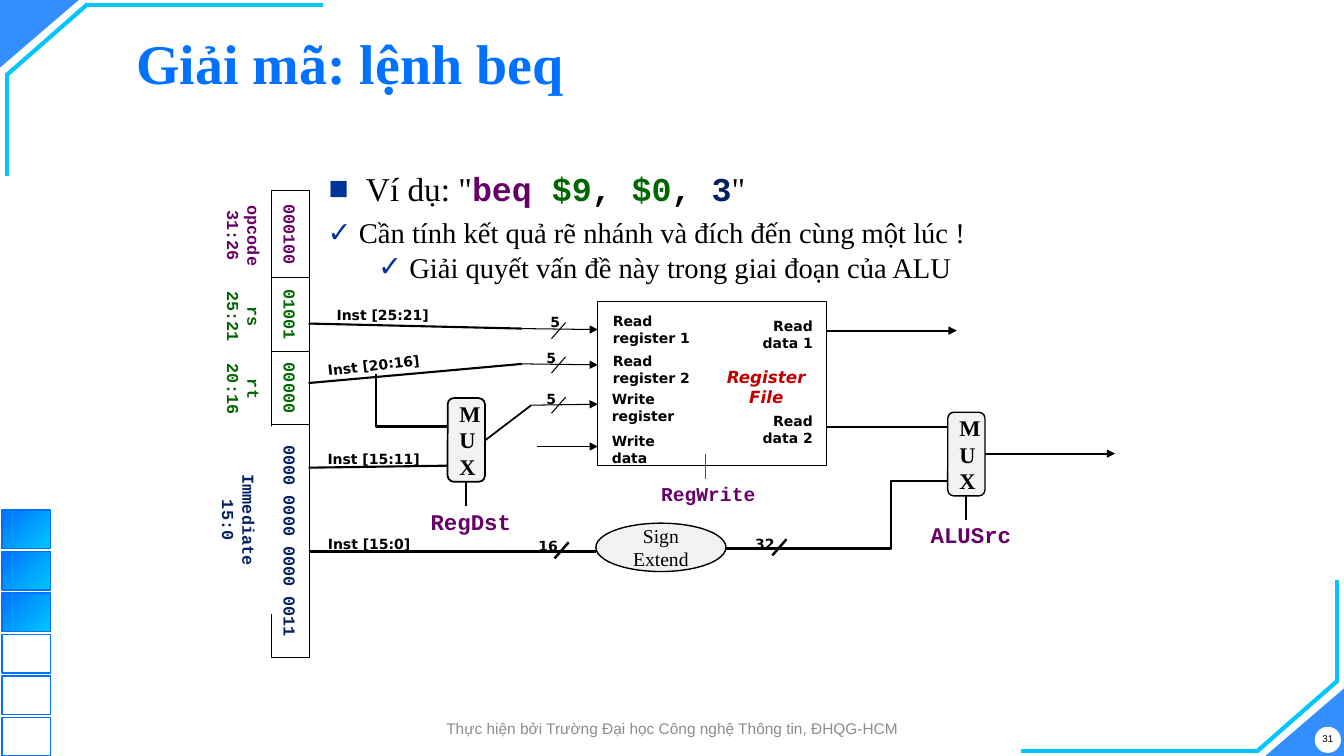
from dataclasses import dataclass
from typing import Optional

from lxml import etree
from pptx import Presentation
from pptx.dml.color import RGBColor
from pptx.enum import shapes, text
from pptx.oxml.ns import qn
from pptx.util import Inches, Pt

SHAPE, LINK, ALIGN = shapes.MSO_SHAPE, shapes.MSO_CONNECTOR, text.PP_ALIGN
MIDDLE, TOP = text.MSO_ANCHOR.MIDDLE, text.MSO_ANCHOR.TOP
WIDTH, HEIGHT = 13.33, 7.5


@dataclass(frozen=True)
class Style:
    size: float
    name: str
    color: str = "000000"
    bold: bool = True
    italic: bool = False


@dataclass(frozen=True)
class Theme:
    blue: str = "0072FF"
    cyan: str = "00C6FF"
    bullet: str = "003399"
    black: str = "000000"
    white: str = "FFFFFF"
    light: str = "F2F2F2"
    purple: str = "660066"
    green: str = "006600"
    navy: str = "002060"
    strobe: str = "3333FF"
    mono: str = "Courier New"
    title: Style = Style(40, "Times New Roman")
    example: Style = Style(23.8, "Times New Roman", bold=False)
    point: Style = Style(20.4, "Times New Roman", bold=False)
    port: Style = Style(10, "DejaVu Sans")
    unit: Style = Style(12, "DejaVu Sans", "C00000", italic=True)
    control: Style = Style(16, "Courier New", "660066")
    strobe_name: Style = Style(14, "Courier New", "660066")
    mux: Style = Style(16, "Times New Roman")
    extend: Style = Style(14, "Times New Roman", bold=False)
    footer: Style = Style(11, "Arial", "8C8C8C", bold=False)
    number: Style = Style(7, "Arial", bold=False)


@dataclass(frozen=True)
class Box:
    x: float
    y: float
    w: float
    h: float
    lines: tuple = ()
    style: Optional[Style] = None
    align: ALIGN = ALIGN.CENTER
    rot: float = 0
    kind: Optional[SHAPE] = None  # None makes a text box
    fill: Optional[str] = None
    line: Optional[str] = None
    width: float = 1
    wrap: bool = False
    anchor: text.MSO_ANCHOR = TOP


@dataclass(frozen=True)
class Wire:
    x1: float
    y1: float
    x2: float
    y2: float
    width: float = 0.75
    arrow: bool = False
    color: str = "000000"
    bend: Optional[float] = None  # where an elbow turns, as a share of its width


T = Theme()
prs = Presentation()
prs.slide_width, prs.slide_height = Inches(WIDTH), Inches(HEIGHT)
s = prs.slides.add_slide(prs.slide_layouts[1])


def put(obj, **values) -> None:
    for key, value in values.items():
        setattr(obj, key, value)


def rgb(color: str) -> RGBColor:
    return RGBColor.from_string(color)


def blend(fill) -> None:
    fill.gradient()
    fill.gradient_angle = 315
    for stop, color in zip(fill.gradient_stops, (T.blue, T.cyan)):
        stop.color.rgb = rgb(color)


def write(p, words: str, st: Style):
    r = p.add_run()
    r.text = words
    put(r.font, size=Pt(st.size), name=st.name, bold=st.bold, italic=st.italic)
    r.font.color.rgb = rgb(st.color)
    return r


def draw_box(b: Box):
    area = [Inches(v) for v in (b.x, b.y, b.w, b.h)]
    if b.kind is None:
        sp = s.shapes.add_textbox(*area)
    else:
        sp = s.shapes.add_shape(b.kind, *area)
        sp.shadow.inherit = False
    sp.rotation = b.rot
    if b.fill:
        sp.fill.solid()
        sp.fill.fore_color.rgb = rgb(b.fill)
    else:
        sp.fill.background()
    if b.line:
        sp.line.color.rgb = rgb(b.line)
        sp.line.width = Pt(b.width)
    else:
        sp.line.fill.background()
    tf = sp.text_frame
    put(tf, word_wrap=b.wrap, vertical_anchor=b.anchor)
    for i, words in enumerate(b.lines):
        p = tf.add_paragraph() if i else tf.paragraphs[0]
        p.alignment = b.align
        write(p, words, b.style)
    return sp


def draw_wire(w: Wire) -> None:
    kind = LINK.STRAIGHT if w.bend is None else LINK.ELBOW
    c = s.shapes.add_connector(kind, *(Inches(v) for v in (w.x1, w.y1, w.x2, w.y2)))
    c.line.color.rgb = rgb(w.color)
    c.line.width = Pt(w.width)
    props = c.element.spPr
    if w.bend is not None:
        guides = props.find(qn("a:prstGeom")).get_or_add_avLst()
        etree.SubElement(guides, qn("a:gd"), name="adj1", fmla=f"val {round(w.bend * 100000)}")
    if w.arrow:
        etree.SubElement(props.find(qn("a:ln")), qn("a:tailEnd"), type="triangle")
    etree.SubElement(props, qn("a:effectLst"))


def place(sp, x: float, y: float, w: float, h: float, anchor) -> None:
    put(sp, left=Inches(x), top=Inches(y), width=Inches(w), height=Inches(h))
    put(sp.text_frame, word_wrap=True, auto_size=text.MSO_AUTO_SIZE.NONE, vertical_anchor=anchor)


# Corner frames, the second one being the first turned about the slide centre
for x, y, rot in ((0, 0, 180), (WIDTH - 0.78, HEIGHT - 0.67, 0)):
    corner = draw_box(Box(x, y, 0.78, 0.67, kind=SHAPE.ISOSCELES_TRIANGLE, fill=T.blue, rot=rot))
    corner.adjustments[0] = 1
    color = corner.element.spPr.find(qn("a:solidFill"))[0]
    etree.SubElement(color, qn("a:alpha"), val="80000")
for x1, y1, x2, y2 in ((3.2, 0.05, 0.85, 0.05), (0.87, 0.04, 0.06, 0.75), (0.07, 1.75, 0.07, 0.73)):
    draw_wire(Wire(x1, y1, x2, y2, 3, color=T.cyan))
    draw_wire(Wire(WIDTH - x1, HEIGHT - y1, WIDTH - x2, HEIGHT - y2, 3, color=T.cyan))

# Progress squares, page number and footer
for i in range(6):
    square = draw_box(Box(0.02, 5.06 + 0.412 * i, 0.48, 0.38, kind=SHAPE.RECTANGLE, line=T.blue))
    if i < 3:
        blend(square.fill)
draw_box(Box(13.04, 7.21, 0.26, 0.26, kind=SHAPE.OVAL, fill=T.white))
draw_box(Box(13.01, 7.17, 0.32, 0.32, ("31",), T.number, anchor=MIDDLE))
draw_box(Box(3.99, 7.08, 5.36, 0.29, ("Thực hiện bởi Trường Đại học Công nghệ Thông tin, ĐHQG-HCM",),
             T.footer, anchor=MIDDLE))

# Title and bullet list
title, body = s.placeholders
place(title, 1.25, 0.17, 11.5, 0.98, MIDDLE)
p = title.text_frame.paragraphs[0]
put(p, alignment=ALIGN.LEFT, line_spacing=0.9)
blend(write(p, "Giải mã: lệnh beq", T.title).font.fill)

place(body, 3.15, 1.7, 8.82, 1.17, TOP)
code = (("beq ", T.purple), ("$9", T.green), (", ", T.black), ("$0", T.green), (", ", T.black), ("3", T.navy))
example = [('Ví dụ: "', T.example), *((words, Style(23.8, T.mono, c)) for words, c in code), ('"', T.example)]
points = (
    ("■", 0, 0.38, -0.37, 0.8, 0, example),
    ("✓", 0, 0.31, -0.31, 1.0, 4.8, [("Cần tính kết quả rẽ nhánh và đích đến cùng một lúc !", T.point)]),
    ("✓", 1, 0.81, -0.31, 0.8, 4.8, [("Giải quyết vấn đề này trong giai đoạn của ALU", T.point)]),
)
for i, (mark, level, margin, indent, spacing, before, runs) in enumerate(points):
    p = body.text_frame.add_paragraph() if i else body.text_frame.paragraphs[0]
    props = p._p.get_or_add_pPr()
    for key, value in (("marL", margin), ("indent", indent)):
        props.set(key, str(Inches(value)))
    etree.SubElement(etree.SubElement(props, qn("a:buClr")), qn("a:srgbClr"), val=T.bullet)
    etree.SubElement(props, qn("a:buFont"), typeface="Arial")
    etree.SubElement(props, qn("a:buChar"), char=mark)
    put(p, level=level, line_spacing=spacing, space_before=Pt(before), alignment=ALIGN.LEFT)
    for words, st in runs:
        write(p, words, st)

# Instruction word: stacked fields turned sideways, each with its label
top = 1.89
for value, label, color, length, label_w, label_h, label_x, label_y in (
        ("000100", ("opcode", "31:26"), T.purple, 0.86, 0.86, 0.55, 2.42, 2.34),
        ("01001", ("rs", "25:21"), T.green, 0.73, 0.73, 0.55, 2.42, 3.14),
        ("00000", ("rt", "20:16"), T.green, 0.73, 0.73, 0.55, 2.42, 3.86),
        ("0000 0000 0000 0011", ("Immediate", "15:0"), T.navy, 2.31, 1.86, 0.68, 2.37, 5.16)):
    st = Style(12, T.mono, color)
    draw_box(Box(2.88 - length / 2, top + length / 2 - 0.18, length, 0.37, (value,), st, rot=90,
                 kind=SHAPE.RECTANGLE, fill=T.white, line=T.black, width=0.75, anchor=MIDDLE))
    draw_box(Box(label_x - label_w / 2, label_y - label_h / 2, label_w, label_h, label, st, rot=90,
                 fill=T.white if color == T.navy else None, anchor=MIDDLE))
    top += length

# Wires
for wire in (
        Wire(7, 4.5, 7, 4.75, color=T.strobe),
        Wire(5.18, 3.26, 5.93, 3.27, arrow=True), Wire(5.18, 3.61, 5.93, 3.62, arrow=True),
        Wire(5.27, 4.02, 5.93, 4.01, arrow=True), Wire(5.33, 4.43, 5.93, 4.43, arrow=True),
        Wire(8.2, 3.28, 9.49, 3.28, 1.5, True), Wire(8.2, 4.24, 9.49, 4.24, 1.5, True),
        Wire(9.77, 4.5, 11.06, 4.5, 1.5, True),
        Wire(3.06, 3.21, 5.18, 3.26, 1.5), Wire(3.06, 3.8, 5.18, 3.61, 1.5),
        Wire(3.06, 4.64, 4.44, 4.62, 1.5), Wire(3.06, 5.47, 5.91, 5.47, 1.75),
        Wire(3.73, 3.71, 4.44, 4.23, 1.75, bend=0), Wire(7.2, 5.44, 9.4, 4.77, 1.75, bend=0.745),
        Wire(4.81, 4.37, 5.27, 4.02, 1.25), Wire(4.62, 4.78, 4.62, 5.02, 1.25),
        Wire(9.58, 4.92, 9.58, 5.16, 1.5)):
    draw_wire(wire)

# Bus widths: a slash and a count
for x, y, width, count, count_x, count_y in (
        (5.47, 3.2, 0.75, "5", 5.36, 3.06), (5.47, 3.54, 0.75, "5", 5.32, 3.42),
        (5.47, 3.94, 0.75, "5", 5.32, 3.83), (5.5, 5.38, 1.75, "16", 5.24, 5.28),
        (7.66, 5.35, 1.75, "32", 7.39, 5.26)):
    draw_wire(Wire(x + 0.14, y, x, y + 0.16, width))
    draw_box(Box(count_x, count_y, 0.19 + 0.1 * len(count), 0.26, (count,), T.port))

# Register file, multiplexers and sign extension
draw_box(Box(5.93, 2.99, 2.27, 1.63, kind=SHAPE.RECTANGLE, line=T.black, width=0.75))
for x, y, lines, align in (
        (5.98, 3.05, ("Read", "register 1"), ALIGN.LEFT),
        (5.98, 3.45, ("Read", "register 2"), ALIGN.LEFT),
        (5.97, 3.83, ("Write", "register"), ALIGN.LEFT),
        (5.97, 4.24, ("Write", "data"), ALIGN.LEFT),
        (7.06, 3.1, ("Read", "data 1"), ALIGN.RIGHT),
        (7.06, 4.04, ("Read", "data 2"), ALIGN.RIGHT)):
    draw_box(Box(x, y, 1.1, 0.43, lines, T.port, align))
draw_box(Box(7.06, 3.59, 1.08, 0.5, ("Register", "File"), T.unit))
for x, y, width in ((4.44, 3.95, 1.25), (9.4, 4.09, 1)):
    draw_box(Box(x, y, 0.37, 0.83, ("MUX",), T.mux, kind=SHAPE.ROUNDED_RECTANGLE, fill=T.light,
                 line=T.black, width=width, wrap=True, anchor=MIDDLE))
draw_box(Box(5.91, 5.19, 1.29, 0.48, ("Sign Extend",), T.extend, kind=SHAPE.OVAL, fill=T.light,
             line=T.black, wrap=True, anchor=MIDDLE))

# Signal names
for x, y, w, h, name, st, rot in (
        (3.24, 2.99, 1.11, 0.26, "Inst [25:21]", T.port, 0),
        (3.15, 3.49, 1.11, 0.26, "Inst [20:16]", T.port, 353.4),
        (3.15, 4.42, 1.11, 0.26, "Inst [15:11]", T.port, 0),
        (3.15, 5.26, 1.02, 0.26, "Inst [15:0]", T.port, 0),
        (4.17, 4.99, 1, 0.36, "RegDst", T.control, 0),
        (9.13, 5.12, 1, 0.36, "ALUSrc", T.control, 0),
        (6.4, 4.73, 1.25, 0.33, "RegWrite", T.strobe_name, 0)):
    draw_box(Box(x, y, w, h, (name,), st, rot=rot))

prs.save("out.pptx")
